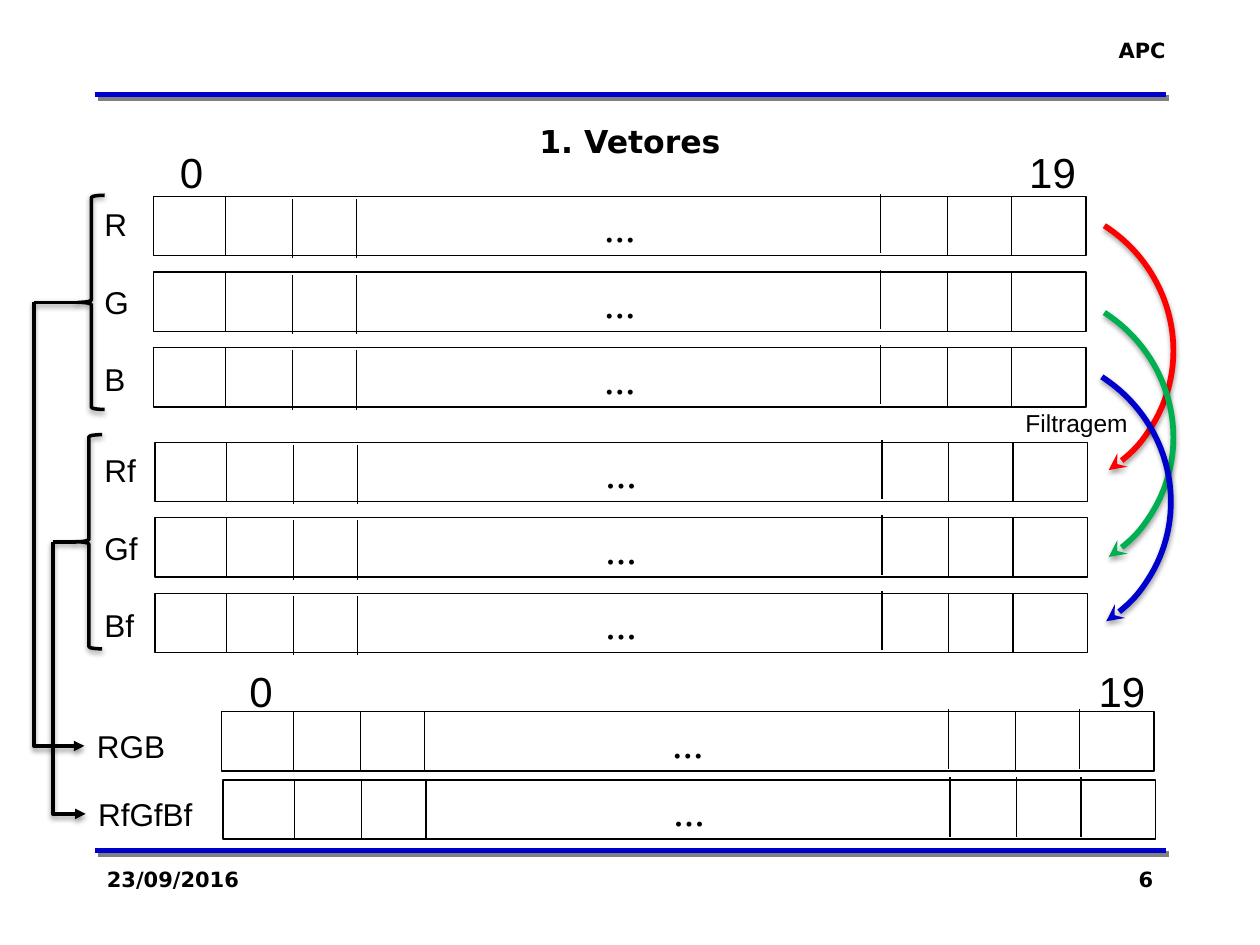
"""Build the slide that shows colour vectors, their filtering and their combination."""
import pptx
import pptx.dml.color
import pptx.enum.shapes
import pptx.enum.text
import pptx.oxml
import pptx.oxml.ns
import pptx.util

Inches = pptx.util.Inches
Pt = pptx.util.Pt
RGBColor = pptx.dml.color.RGBColor
MSO_SHAPE = pptx.enum.shapes.MSO_SHAPE
MSO_CONNECTOR = pptx.enum.shapes.MSO_CONNECTOR
MSO_ANCHOR = pptx.enum.text.MSO_ANCHOR
PP_ALIGN = pptx.enum.text.PP_ALIGN

BLACK = RGBColor(0x00, 0x00, 0x00)
WHITE = RGBColor(0xFF, 0xFF, 0xFF)
GRAY = RGBColor(0x80, 0x80, 0x80)
RED = RGBColor(0xFF, 0x00, 0x00)
GREEN = RGBColor(0x00, 0xB0, 0x50)
BLUE = RGBColor(0x00, 0x00, 0xCC)

HEADING_FONT = "DejaVu Sans"
LABEL_FONT = "Arial"
CELL_FONT = "Times New Roman"

RULE_SHADOW = (GRAY, 100, 0, 2.8, 45)
SOFT_SHADOW = (BLACK, 38, 3.1, 1.6, 90)

ROW_WIDTH, ROW_HEIGHT, ROW_PITCH = 7.4, 0.47, 0.6
DIVIDERS = (0.57, 1.1, 1.61, 5.77, 6.3, 6.81)
CHANNEL_SHIFTS = (0, 0.02, 0.02, -0.02, 0, 0)
RGB_SHIFTS = (0, 0, 0, -0.02, 0, -0.02)
FILTERED_RGB_SHIFTS = (0, 0, 0, -0.02, -0.02, -0.02)


def set_effects(element, shadow=None):
    """Write the effect list of a drawn element, with an optional outer shadow."""
    outer = ""
    if shadow:
        color, alpha, blur, distance, angle = shadow
        outer = (
            f'<a:outerShdw blurRad="{Pt(blur)}" dist="{Pt(distance)}" '
            f'dir="{angle * 60000}" algn="ctr" rotWithShape="0">'
            f'<a:srgbClr val="{color}"><a:alpha val="{alpha * 1000}"/></a:srgbClr>'
            "</a:outerShdw>"
        )
    namespace = pptx.oxml.ns.nsdecls("a")
    element._element.spPr.append(
        pptx.oxml.parse_xml(f"<a:effectLst {namespace}>{outer}</a:effectLst>")
    )


def style_stroke(element, color, width, arrowhead=None, shadow=None):
    """Set the line, its arrowhead and the shadow of a drawn element."""
    element.line.color.rgb = color
    element.line.width = Pt(width)
    if arrowhead:
        namespace = pptx.oxml.ns.nsdecls("a")
        element.line._get_or_add_ln().append(
            pptx.oxml.parse_xml(f'<a:tailEnd {namespace} type="{arrowhead}"/>')
        )
    set_effects(element, shadow)


def format_text(frame, text, size, font, bold=False, align=PP_ALIGN.LEFT, gap=0):
    """Fill a text frame and format its paragraphs."""
    frame.text = text
    for index, paragraph in enumerate(frame.paragraphs):
        paragraph.alignment = align
        if index and gap:
            paragraph.space_before = Pt(gap)
        for run in paragraph.runs:
            run.font.size = Pt(size)
            run.font.name = font
            run.font.bold = bold
            run.font.color.rgb = BLACK


def add_label(slide, text, box, size=18, wrap=False, **style):
    """Add a text box at the given left, top, width and height."""
    frame = slide.shapes.add_textbox(*map(Inches, box)).text_frame
    frame.word_wrap = wrap
    format_text(frame, text, size, style.pop("font", LABEL_FONT), **style)


def add_line(slide, start, end, color=BLACK, width=0.75, shadow=None):
    """Add a straight line between two points."""
    line = slide.shapes.add_connector(
        MSO_CONNECTOR.STRAIGHT, *map(Inches, (*start, *end))
    )
    style_stroke(line, color, width, shadow=shadow)
    return line


def add_vector(slide, left, top, shifts):
    """Add one vector as a long box with cell dividers."""
    cells = slide.shapes.add_shape(
        MSO_SHAPE.RECTANGLE, *map(Inches, (left, top, ROW_WIDTH, ROW_HEIGHT))
    )
    cells.fill.solid()
    cells.fill.fore_color.rgb = WHITE
    style_stroke(cells, BLACK, 0.75)
    cells.text_frame.word_wrap = False
    cells.text_frame.vertical_anchor = MSO_ANCHOR.MIDDLE
    format_text(cells.text_frame, "...", 24, CELL_FONT, align=PP_ALIGN.CENTER)
    for offset, shift in zip(DIVIDERS, shifts):
        x, y = left + offset, top + shift
        add_line(slide, (x, y), (x, y + ROW_HEIGHT))


def add_channels(slide, names, left, top, label_width):
    """Add three channel vectors with their names."""
    for row in range(len(names)):
        add_vector(slide, left, top + row * ROW_PITCH, CHANNEL_SHIFTS)
    add_label(slide, "\n".join(names), (0.73, top + 0.02, label_width, 1.62), gap=22.7)


def add_indices(slide, left, top):
    """Add the first and last index above a vector."""
    add_label(slide, "0", (left, top, 0.39, 0.5), size=24)
    add_label(slide, "19", (left + 6.74, top, 0.58, 0.5), size=24)


def add_filter_arrow(slide, left, top, color):
    """Add a curved arrow from a channel to its filtered version."""
    arrow = slide.shapes.add_shape(
        MSO_SHAPE.ARC, *map(Inches, (left, top, 2.35, 2.3))
    )
    arrow.rotation = 32.6
    arrow.adjustments[0] = 162
    arrow.adjustments[1] = 14.033
    arrow.fill.background()
    style_stroke(arrow, color, 3.25, "stealth", SOFT_SHADOW)


def add_brace(slide, left, top):
    """Add a brace that groups three channels."""
    brace = slide.shapes.add_shape(
        MSO_SHAPE.LEFT_BRACE, *map(Inches, (left, top, 0.21, 1.7))
    )
    brace.fill.background()
    style_stroke(brace, BLACK, 2, shadow=SOFT_SHADOW)
    return brace


def add_elbow_arrow(slide, start, end):
    """Add an arrow that runs down and then right."""
    drop, run = end[1] - start[1], end[0] - start[0]
    center_x, center_y = (start[0] + end[0]) / 2, (start[1] + end[1]) / 2
    elbow = slide.shapes.add_connector(
        MSO_CONNECTOR.ELBOW,
        Inches(center_x + drop / 2),
        Inches(center_y - run / 2),
        Inches(center_x - drop / 2),
        Inches(center_y + run / 2),
    )
    properties = elbow._element.spPr
    properties.find(pptx.oxml.ns.qn("a:xfrm")).set("rot", "16200000")
    properties.find(pptx.oxml.ns.qn("a:prstGeom")).set("prst", "bentConnector2")
    style_stroke(elbow, BLACK, 2, "triangle", SOFT_SHADOW)


def add_group_link(slide, brace_left, brace_top, start_x, end):
    """Add a brace and the path from it to the combined vector."""
    brace = add_brace(slide, brace_left, brace_top)
    start = (start_x, brace_top + 0.85)
    add_elbow_arrow(slide, start, end)
    stem = add_line(slide, start, (brace_left, start[1]), width=2, shadow=SOFT_SHADOW)
    stem.end_connect(brace, 1)


def add_frame(slide):
    """Add the title, the rules and the header and footer texts."""
    heading = {"size": 12, "font": HEADING_FONT, "bold": True}
    for y in (6.75, 0.75):
        add_line(slide, (0.75, y), (9.25, y), BLUE, 3, RULE_SHADOW)
    add_label(slide, "APC", (8.77, 0.25, 0.58, 0.3), align=PP_ALIGN.RIGHT, **heading)
    add_label(slide, "23/09/2016", (0.75, 6.83, 2.08, 0.5), wrap=True, **heading)
    add_label(
        slide, "6", (7.17, 6.83, 2.08, 0.5), wrap=True, align=PP_ALIGN.RIGHT, **heading
    )
    title = slide.shapes.title
    title.left, title.top, title.width, title.height = map(
        Inches, (0.75, 0.92, 8.5, 0.4)
    )
    title.text_frame.vertical_anchor = MSO_ANCHOR.TOP
    format_text(
        title.text_frame, "1. Vetores", 18, HEADING_FONT, True, PP_ALIGN.CENTER
    )


def main():
    """Build and save the slide."""
    deck = pptx.Presentation()
    deck.slide_width, deck.slide_height = Inches(10), Inches(7.5)
    slide = deck.slides.add_slide(deck.slide_layouts[5])
    add_frame(slide)
    add_channels(slide, ("R", "G", "B"), 1.22, 1.56, 0.4)
    add_channels(slide, ("Rf", "Gf", "Bf"), 1.23, 3.51, 0.47)
    add_vector(slide, 1.76, 5.65, RGB_SHIFTS)
    add_label(slide, "RGB", (0.67, 5.72, 1.11, 0.4), wrap=True)
    add_vector(slide, 1.77, 6.19, FILTERED_RGB_SHIFTS)
    add_label(slide, "RfGfBf", (0.68, 6.26, 1.11, 0.4), wrap=True)
    add_indices(slide, 1.33, 1.11)
    add_indices(slide, 1.88, 5.23)
    add_filter_arrow(slide, 6.97, 1.61, RED)
    add_label(slide, "Filtragem", (8.04, 3.19, 1.02, 0.34), size=14)
    add_group_link(slide, 0.62, 1.55, 0.27, (0.67, 5.92))
    add_group_link(slide, 0.6, 3.45, 0.42, (0.68, 6.46))
    add_filter_arrow(slide, 6.97, 2.3, GREEN)
    add_filter_arrow(slide, 6.95, 2.81, BLUE)
    deck.save("out.pptx")


if __name__ == "__main__":
    main()
